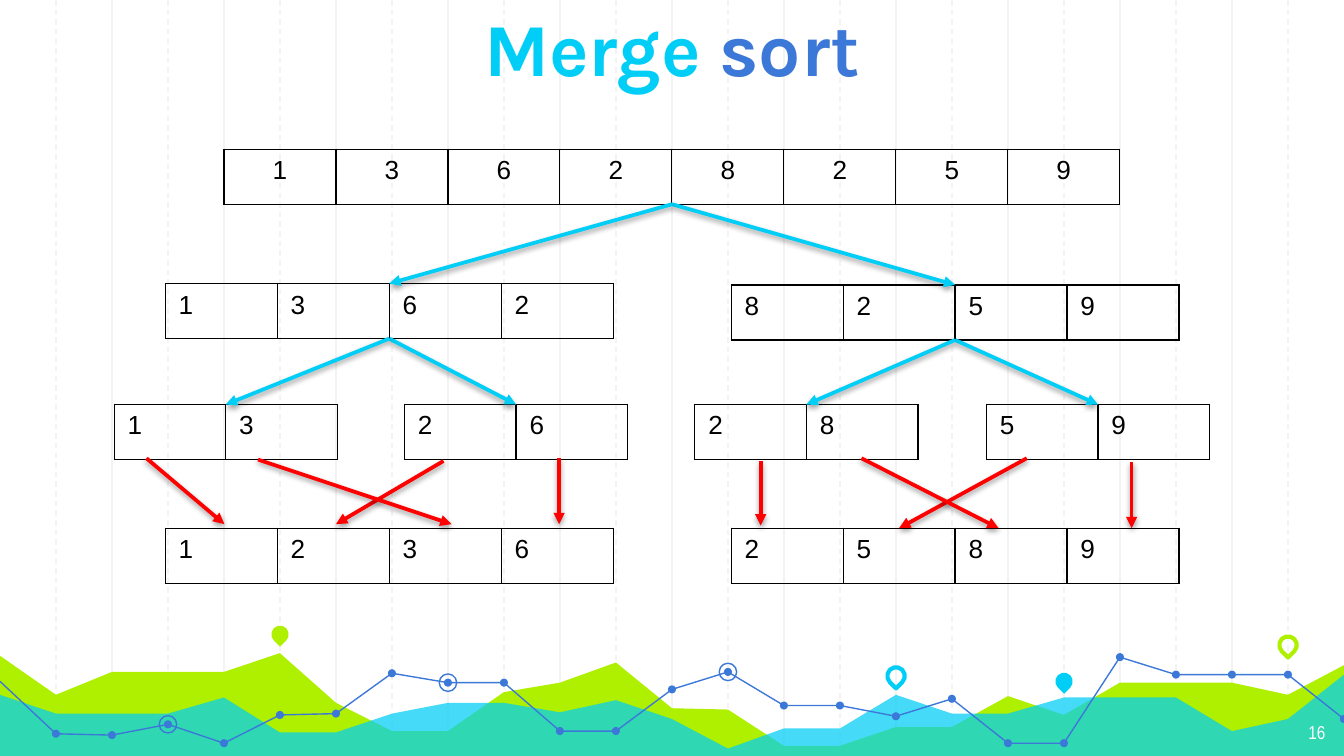
from lxml import etree
from pptx import Presentation
from pptx.dml.color import RGBColor
from pptx.enum.dml import MSO_LINE
from pptx.enum.shapes import MSO_CONNECTOR, MSO_SHAPE
from pptx.enum.text import MSO_ANCHOR, PP_ALIGN
from pptx.oxml import parse_xml
from pptx.oxml.ns import qn
from pptx.util import Inches, Pt

WIDTH = 10
HEIGHT = WIDTH * 9 / 16
COLUMN = WIDTH / 12          # one table cell, one solid guide line
STEP = COLUMN / 2            # one point of the landscape
PAIR_COLUMN = 0.83           # cells of the two-value arrays
ROW = 0.41
CYAN, LIME, BLUE, RED = "00CEF6", "AFF000", "3C78D8", "FF0000"
GREY, BLACK, WHITE = "F3F3F3", "000000", "FFFFFF"
NAMESPACE = 'xmlns:a="http://schemas.openxmlformats.org/drawingml/2006/main"'

# Content
TITLE = [("Merge ", CYAN), ("sort", BLUE)]
PAGE_NUMBER = "16"
ARRAYS = {  # name: (left, top, values)
    "whole": (2 * COLUMN, 1.11, "13628259"),
    "left half": (1.23, 2.11, "1362"),
    "right half": (5.44, 2.12, "8259"),
    "pair 1": (0.85, 3.01, "13"),
    "pair 2": (3.01, 3.01, "26"),
    "pair 3": (5.17, 3.01, "28"),
    "pair 4": (7.34, 3.01, "59"),
    "left merged": (1.23, 3.93, "1236"),
    "right merged": (5.44, 3.93, "2589"),
}
SPLITS = [
    ("whole", "right half"), ("whole", "left half"),
    ("right half", "pair 4"), ("right half", "pair 3"),
    ("left half", "pair 2"), ("left half", "pair 1"),
]
MERGES = [  # start x, start y, end x, end y
    (1.09, 3.41, 1.67, 3.9), (3.3, 3.43, 2.5, 3.9),
    (1.92, 3.42, 3.36, 3.9), (4.16, 3.41, 4.16, 3.9),
    (8.42, 3.44, 8.42, 3.93), (7.64, 3.41, 6.69, 3.93),
    (5.66, 3.43, 5.66, 3.91), (6.41, 3.41, 7.43, 3.93),
]

# Landscape heights, one for each half column
LIME_HILLS = [4.88, 5.17, 5, 5, 5, 4.86, 5.23, 5.44, 5.44, 5.15, 5.08, 4.93, 5.27,
              5.28, 5.55, 5.55, 5.41, 5.41, 5.18, 5.32, 5.08, 5.08, 5.08, 5.17, 4.95]
CYAN_HILLS = [5.17, 5.31, 5.31, 5.31, 5.19, 5.45, 5.45, 5.31, 5.23, 5.23, 5.3, 5.21, 5.35,
              5.57, 5.42, 5.42, 5.17, 5.31, 5.31, 5.19, 5.19, 5.19, 5.44, 5.35, 5.02]
TREND = [5.07, 5.46, 5.47, 5.39, 5.53, 5.32, 5.31, 5.01, 5.08, 5.08, 5.44, 5.44, 5.13,
         5, 5.25, 5.25, 5.33, 5.2, 5.53, 5.53, 4.89, 5.02, 5.02, 5.02, 5.35]
RINGED_POINTS = [3, 8, 13]
PINS = [(5, 4.72, LIME, True), (16, 5.03, CYAN, False),
        (19, 5.07, CYAN, True), (23, 4.8, LIME, False)]  # step, centre y, colour, filled

presentation = Presentation()
presentation.slide_width, presentation.slide_height = Inches(WIDTH), Inches(HEIGHT)
slide = presentation.slides.add_slide(presentation.slide_layouts[5])
shapes = slide.shapes


def color(value):
    return RGBColor.from_string(value)


def paint(shape, fill=None, line=None, width=0.75):
    shape.shadow.inherit = False
    for part, value in ((shape.fill, fill), (shape.line.fill, line)):
        if value:
            part.solid()
            part.fore_color.rgb = color(value)
        else:
            part.background()
    if line:
        shape.line.width = Pt(width)


def add_line(x1, y1, x2, y2, line, width):
    connector = shapes.add_connector(MSO_CONNECTOR.STRAIGHT, *map(Inches, (x1, y1, x2, y2)))
    connector.line.color.rgb = color(line)
    connector.line.width = Pt(width)
    effects = etree.SubElement(connector._element.spPr, qn("a:effectLst"))
    return connector, effects


def add_arrow(x1, y1, x2, y2, line):
    connector, effects = add_line(x1, y1, x2, y2, line, 2)
    etree.SubElement(connector.line._get_or_add_ln(), qn("a:tailEnd"), type="triangle")
    effects.append(parse_xml(
        f'<a:outerShdw {NAMESPACE} blurRad="{Pt(3.1)}" dist="{Pt(1.6)}" dir="5400000" '
        'rotWithShape="0"><a:srgbClr val="000000"><a:alpha val="38000"/></a:srgbClr>'
        '</a:outerShdw>'))


def add_outline(points, closed):
    builder = shapes.build_freeform(*map(Inches, points[0]), scale=1.0)
    builder.add_line_segments([tuple(map(Inches, point)) for point in points[1:]], close=closed)
    return builder.convert_to_shape()


def add_centred(kind, step, middle, size):
    return shapes.add_shape(kind, Inches(step * STEP - size / 2), Inches(middle - size / 2),
                            Inches(size), Inches(size))


def add_run(paragraph, text, value, **formats):
    run = paragraph.add_run()
    run.text = text
    run.font.color.rgb = color(value)
    for name, setting in formats.items():
        setattr(run.font, name, setting)


def set_frame(frame, anchor):
    formats = dict.fromkeys(("margin_left", "margin_top", "margin_right", "margin_bottom"),
                            Inches(0.1))
    formats.update(word_wrap=True, vertical_anchor=anchor)
    for name, setting in formats.items():
        setattr(frame, name, setting)


def cell_width(values):
    return PAIR_COLUMN if len(values) == 2 else COLUMN


def add_array(left, top, values):
    width = cell_width(values)
    table = shapes.add_table(1, len(values), Inches(left), Inches(top),
                             Inches(width * len(values)), Inches(ROW)).table
    table.first_row = table.horz_banding = False
    for index, value in enumerate(values):
        table.columns[index].width = Inches(width)
        cell = table.cell(0, index)
        paragraph = cell.text_frame.paragraphs[0]
        paragraph.alignment = PP_ALIGN.CENTER if len(values) == 8 else PP_ALIGN.LEFT
        add_run(paragraph, value, BLACK, name="Arial", size=Pt(14), bold=False)
        properties = cell._tc.get_or_add_tcPr()
        for side in ("lnL", "lnR", "lnT", "lnB"):
            properties.append(parse_xml(
                f'<a:{side} {NAMESPACE} w="{Pt(0.75)}"><a:solidFill>'
                f'<a:srgbClr val="{BLACK}"/></a:solidFill></a:{side}>'))
        cell.fill.background()


# Guide lines: solid on whole columns, dashed between them
for first in (2, 1):
    for step in range(first, 24, 2):
        guide, _ = add_line(step * STEP, 0, step * STEP, HEIGHT, GREY, 0.75)
        if first == 1:
            guide.line.dash_style = MSO_LINE.DASH

# Hills
for heights, fill in ((LIME_HILLS, LIME), (CYAN_HILLS, CYAN)):
    ridge = [(step * STEP, y) for step, y in enumerate(heights)]
    hills = add_outline(ridge + [(WIDTH, HEIGHT), (0, HEIGHT)], True)
    paint(hills, fill)
tint = hills.fill._xPr.find(".//" + qn("a:srgbClr"))
etree.SubElement(tint, qn("a:alpha"), val="73000")

# Trend line with its points, rings and pins
paint(add_outline([(step * STEP, y) for step, y in enumerate(TREND)], False), line=BLUE)
for step, y in list(enumerate(TREND))[1:]:
    paint(add_centred(MSO_SHAPE.OVAL, step, y, 0.06), BLUE)
for step in RINGED_POINTS:
    paint(add_centred(MSO_SHAPE.OVAL, step, TREND[step], 0.13), line=BLUE)
for step, y, value, filled in PINS:
    pin = add_centred(MSO_SHAPE.TEAR, step, y, 0.13)
    pin.rotation = 135
    paint(pin, value if filled else None, None if filled else value, 2.25)

# Page number
number = shapes.add_textbox(*map(Inches, (9.36, 5.28, 0.6, 0.35))).text_frame
set_frame(number, MSO_ANCHOR.TOP)
number.paragraphs[0].alignment = PP_ALIGN.RIGHT
add_run(number.paragraphs[0], PAGE_NUMBER, WHITE, name="Arial Narrow", size=Pt(10))

# Title, in front of the guide lines
title = shapes.title
title.left, title.top, title.width, title.height = map(Inches, (0, 0, WIDTH, 0.78))
set_frame(title.text_frame, MSO_ANCHOR.BOTTOM)
title.text_frame.paragraphs[0].alignment = PP_ALIGN.CENTER
for text, value in TITLE:
    add_run(title.text_frame.paragraphs[0], text, value, name="Karla", size=Pt(40), bold=True)
title._element.getparent().append(title._element)

# Arrays, then arrows from the middle of each array to its halves, then merges
for array in ARRAYS.values():
    add_array(*array)
for parent, child in SPLITS:
    (x1, y1, values1), (x2, y2, values2) = ARRAYS[parent], ARRAYS[child]
    add_arrow(x1 + cell_width(values1) * len(values1) / 2, y1 + ROW,
              x2 + cell_width(values2) * len(values2) / 2, y2, CYAN)
for merge in MERGES:
    add_arrow(*merge, RED)

presentation.save("out.pptx")
